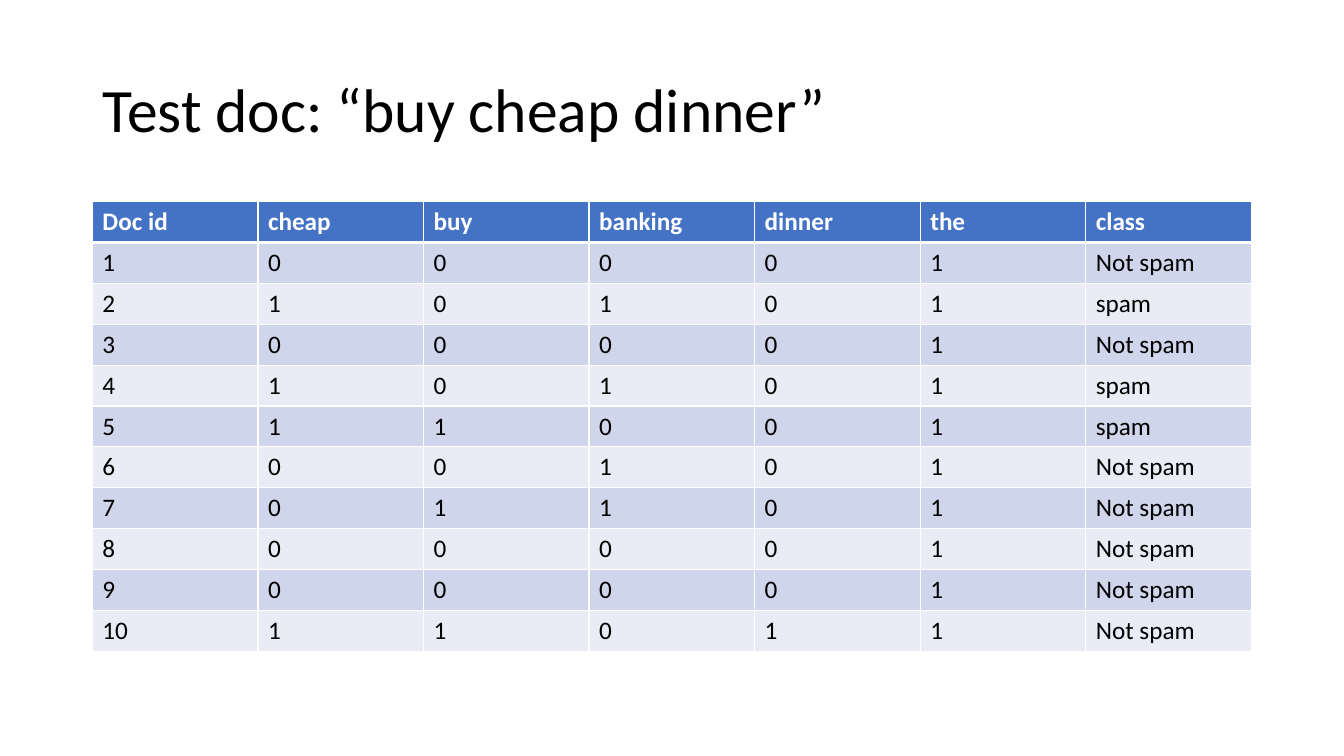
from dataclasses import dataclass

from lxml.etree import SubElement
from pptx import Presentation
from pptx.dml.color import RGBColor
from pptx.enum.text import MSO_ANCHOR as Anchor, MSO_AUTO_SIZE as AutoSize, PP_ALIGN as Align
from pptx.oxml.ns import qn
from pptx.util import Emu, Pt

FONT = "Calibri"
WHITE, BLACK = "FFFFFF", "000000"
HEADER_BLUE = "4472C4"
BANDS = ("CFD5EA", "E9EBF5")

HEADERS = ("Doc id", "cheap", "buy", "banking", "dinner", "the", "class")


@dataclass(frozen=True)
class Doc:
    """Word occurrences of one training document and its class."""
    words: str
    label: str = "Not spam"


DOCS = (
    Doc("00001"),
    Doc("10101", "spam"),
    Doc("00001"),
    Doc("10101", "spam"),
    Doc("11001", "spam"),
    Doc("00101"),
    Doc("01101"),
    Doc("00001"),
    Doc("00001"),
    Doc("11011"),
)


@dataclass(frozen=True)
class CellStyle:
    """Look of the cells in one row."""
    fill: str
    color: str = BLACK
    bold: bool = False
    bottom: int = 1


def px(n: int) -> Emu:
    """Convert pixels at 96 to the inch into EMU."""
    return Emu(n * 9525)


def rgb(value: str) -> RGBColor:
    """Turn a hex string into a colour."""
    return RGBColor.from_string(value)


def style_text(p, size: int, color: str, bold: bool = False) -> None:
    """Format every run of a paragraph."""
    for r in p.runs:
        r.font.name = FONT
        r.font.size = Pt(size)
        r.font.bold = bold
        r.font.color.rgb = rgb(color)


def add_borders(cell, bottom: int) -> None:
    """Draw white lines on the four sides of a cell."""
    tc_pr = cell._tc.get_or_add_tcPr()
    for side, width in (("L", 1), ("R", 1), ("T", 1), ("B", bottom)):
        ln = SubElement(tc_pr, qn(f"a:ln{side}"), w=str(Pt(width)))
        fill = SubElement(ln, qn("a:solidFill"))
        SubElement(fill, qn("a:srgbClr"), val=WHITE)


def fill_cell(cell, text: str, style: CellStyle) -> None:
    """Write and style one table cell."""
    cell.text = text
    style_text(cell.text_frame.paragraphs[0], 18, style.color, style.bold)
    add_borders(cell, style.bottom)
    cell.fill.solid()
    cell.fill.fore_color.rgb = rgb(style.fill)


def set_title(s, text: str) -> None:
    """Place and format the slide title."""
    sp = s.shapes.title
    sp.left, sp.top, sp.width, sp.height = px(88), px(38), px(1104), px(139)
    tf = sp.text_frame
    tf.text = text
    tf.word_wrap = True
    tf.auto_size = AutoSize.NONE
    tf.vertical_anchor = Anchor.MIDDLE
    p = tf.paragraphs[0]
    p.alignment = Align.LEFT
    p.line_spacing = 0.9
    style_text(p, 44, BLACK)


def add_doc_table(s) -> None:
    """Add the table of documents with evenly sized rows and columns."""
    rows = [HEADERS] + [(str(i), *doc.words, doc.label) for i, doc in enumerate(DOCS, 1)]
    width, height = px(1104), px(428)
    table = s.shapes.add_table(len(rows), len(HEADERS), px(88), px(192), width, height).table
    for column in table.columns:
        column.width = Emu(width // len(HEADERS))
    for i, texts in enumerate(rows):
        table.rows[i].height = Emu(height // len(rows))
        style = CellStyle(BANDS[(i - 1) % 2]) if i else CellStyle(HEADER_BLUE, WHITE, True, 3)
        for j, text in enumerate(texts):
            fill_cell(table.cell(i, j), text, style)


def main() -> None:
    """Build the slide and save it."""
    prs = Presentation()
    prs.slide_width, prs.slide_height = px(1280), px(720)
    s = prs.slides.add_slide(prs.slide_layouts[5])
    set_title(s, "Test doc: “buy cheap dinner”")
    add_doc_table(s)
    prs.save("out.pptx")


if __name__ == "__main__":
    main()
